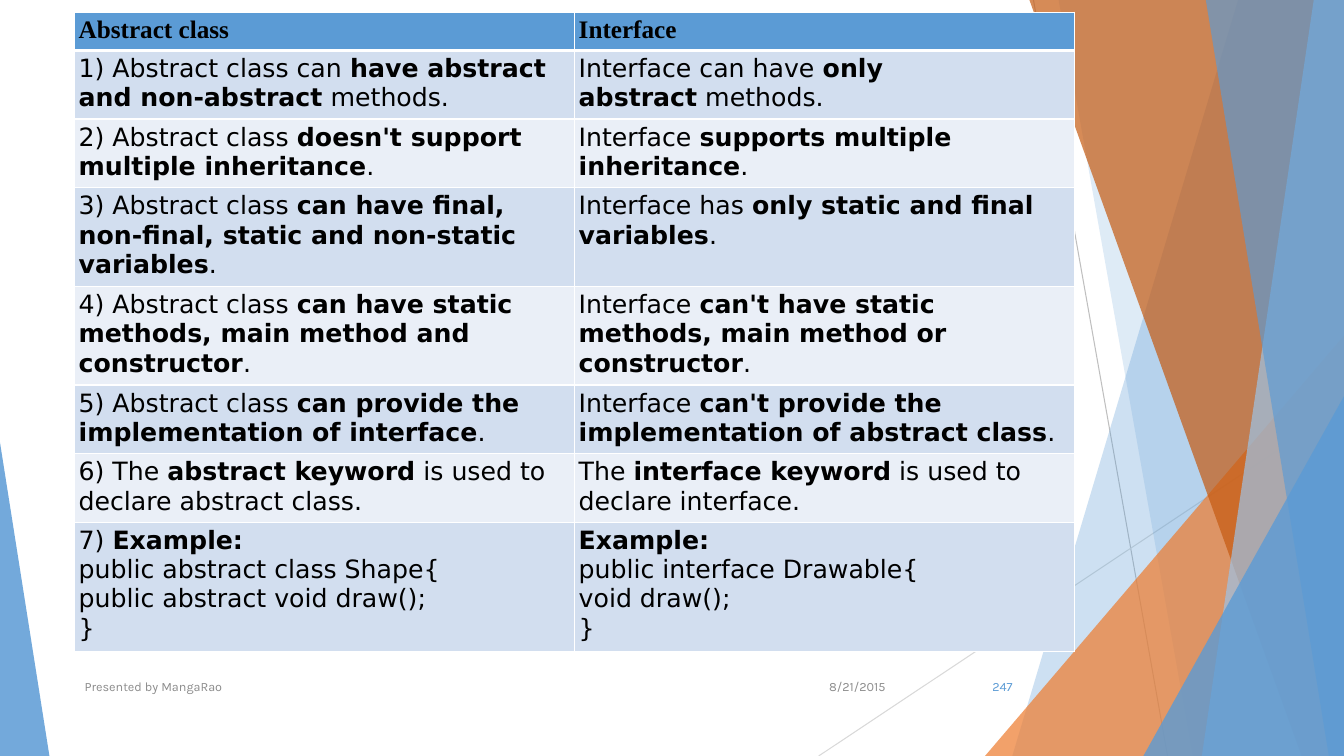
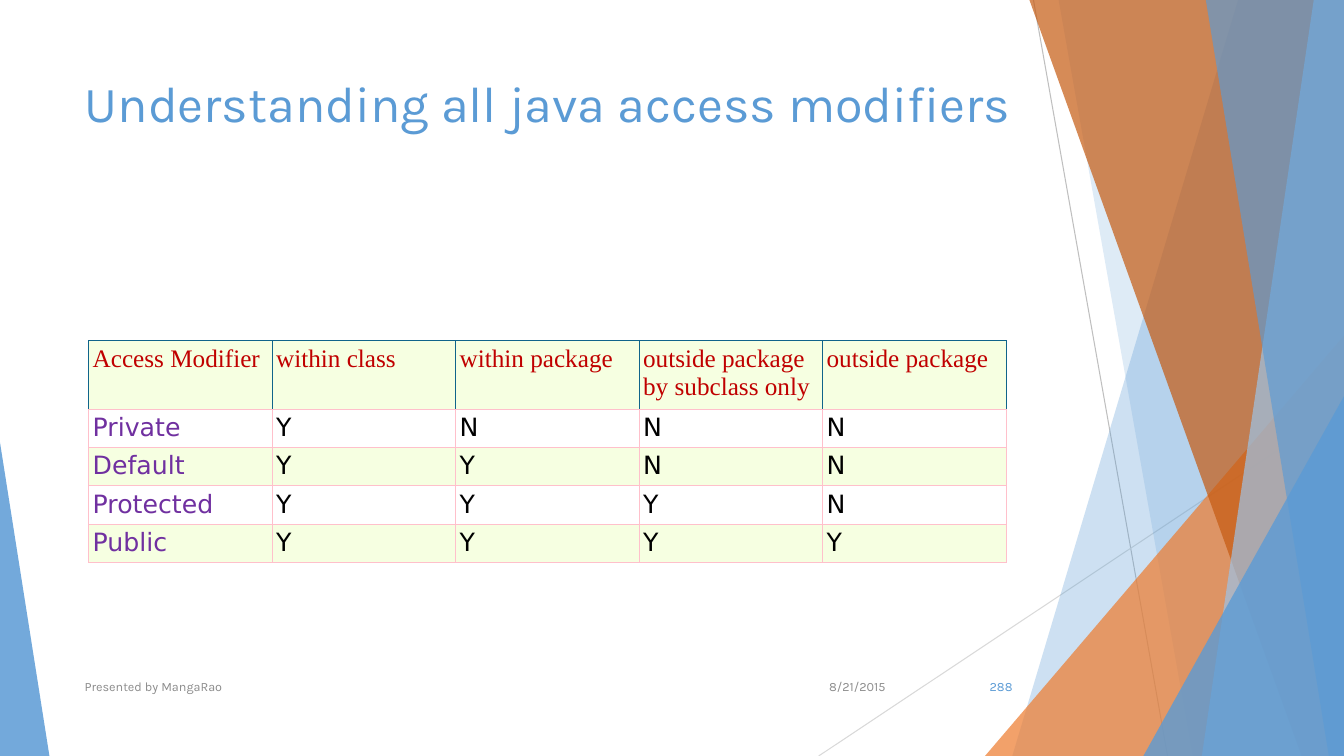
import pptx
import pptx.dml.color
import pptx.enum.shapes
import pptx.enum.text
import pptx.oxml
import pptx.oxml.ns
import pptx.util

Inches, Pt = pptx.util.Inches, pptx.util.Pt
SHAPE = pptx.enum.shapes.MSO_SHAPE
ALIGN = pptx.enum.text.PP_ALIGN
ANCHOR = pptx.enum.text.MSO_ANCHOR
W, H = 13.33, 7.5
NBSP = chr(160)

BLUE, ORANGE, RUST, SKY = "5B9BD5", "ED7D31", "C55A11", "9DC3E6"
WHITE, BLACK, GRAY = "FFFFFF", "000000", "8C8C8C"
PINK, TEAL, LIME = "FFC0CB", "10648A", "F6FFE1"
RED, PURPLE = "C00000", "7030A0"
SANS, SERIF, THEME = "DejaVu Sans", "Times New Roman", "Karla"


def rgb(color):
    return pptx.dml.color.RGBColor.from_string(color)


def element(xml):
    return pptx.oxml.parse_xml(xml.replace(">", " " + pptx.oxml.ns.nsdecls("a") + ">", 1))


class Deck:
    """Holds the shared style and the current slide."""

    def __init__(self):
        self.prs = pptx.Presentation()
        self.prs.slide_width, self.prs.slide_height = Inches(W), Inches(H)

    def new_slide(self, number, title=None):
        layout = self.prs.slide_layouts[5 if title else 6]
        self.slide = self.prs.slides.add_slide(layout)
        self.backdrop()
        if title:
            self.title(title)
        self.footer(number)

    def format(self, font, **values):
        font.color.rgb = rgb(values.pop("color"))
        for name, value in values.items():
            setattr(font, name, value)

    def fill(self, sp, color, alpha):
        sp.shadow.inherit = False
        sp.fill.solid()
        sp.fill.fore_color.rgb = rgb(color)
        sp.line.fill.background()
        clr = sp.fill._xPr.find(".//" + pptx.oxml.ns.qn("a:srgbClr"))
        clr.append(element(f'<a:alpha val="{alpha * 1000}"></a:alpha>'))

    def line(self, x1, y1, x2, y2, color):
        cx = self.slide.shapes.add_connector(
            pptx.enum.shapes.MSO_CONNECTOR.STRAIGHT,
            Inches(x1), Inches(y1), Inches(x2), Inches(y2))
        cx.line.color.rgb = rgb(color)
        cx.line.width = Pt(0.75)
        cx._element.spPr.append(element("<a:effectLst></a:effectLst>"))

    def band(self, top_x, bottom_x, color, alpha):
        """Full-height band from a slanted left edge to the right of the slide."""
        fb = self.slide.shapes.build_freeform(Inches(top_x), 0)
        fb.add_line_segments([(Inches(W), 0), (Inches(W), Inches(H)),
                              (Inches(bottom_x), Inches(H))])
        self.fill(fb.convert_to_shape(), color, alpha)

    def triangle(self, x, y, width, apex, color, alpha):
        """Triangle standing on the bottom of the slide."""
        sp = self.slide.shapes.add_shape(SHAPE.ISOSCELES_TRIANGLE, Inches(x), Inches(y),
                                         Inches(width), Inches(H - y))
        sp.adjustments[0] = apex
        self.fill(sp, color, alpha)

    def backdrop(self):
        self.line(10.25, 0, 11.58, H, "BFBFBF")
        self.line(W, 4.03, 8.12, H, "D9D9D9")
        self.band(12.28, 10.04, BLUE, 30)
        self.band(10.5, 11.83, BLUE, 20)
        self.triangle(9.77, 3.33, 3.56, 1, ORANGE, 72)
        self.band(10.21, 12.91, RUST, 70)
        self.band(13.03, 11.92, SKY, 70)
        self.band(11.96, 13.18, BLUE, 65)
        self.triangle(11.34, 3.93, 1.99, 1, BLUE, 80)
        self.triangle(0, 4.39, 0.49, 0, BLUE, 85)

    def title(self, text):
        sp = self.slide.shapes.title
        sp.left, sp.top, sp.width, sp.height = map(Inches, (0.74, 0.67, 9.4, 1.44))
        tf = sp.text_frame
        tf.text = text
        tf.vertical_anchor = ANCHOR.TOP
        tf.auto_size = pptx.enum.text.MSO_AUTO_SIZE.NONE
        p = tf.paragraphs[0]
        p.alignment = ALIGN.LEFT
        self.format(p.runs[0].font, size=Pt(36), name=THEME, color=BLUE)

    def label(self, x, width, text, align, color):
        sp = self.slide.shapes.add_textbox(Inches(x), Inches(6.61), Inches(width), Inches(0.4))
        tf = sp.text_frame
        tf.word_wrap = True
        tf.vertical_anchor = ANCHOR.MIDDLE
        p = tf.paragraphs[0]
        p.alignment = align
        r = p.add_run()
        r.text = text
        self.format(r.font, size=Pt(9), name=THEME, color=color)

    def footer(self, number):
        self.label(7.88, 1, "8/21/2015", ALIGN.RIGHT, GRAY)
        self.label(0.74, 6.89, "Presented by MangaRao", ALIGN.LEFT, GRAY)
        self.label(9.39, 0.75, str(number), ALIGN.RIGHT, BLUE)

    def cell(self, cell, text, fill, borders, **font):
        """Fill one cell; *stars* mark bold text, joined to its neighbours by NBSP."""
        for side in ("left", "right", "top", "bottom"):
            setattr(cell, "margin_" + side, Inches(0.04))
        tcPr = cell._tc.get_or_add_tcPr()
        for side in "LRTB":
            color, width = borders[side]
            tcPr.append(element(
                f'<a:ln{side} w="{Pt(width)}"><a:solidFill><a:srgbClr val="{color}"/>'
                f"</a:solidFill></a:ln{side}>"))
        cell.fill.solid()
        cell.fill.fore_color.rgb = rgb(fill)
        tf = cell.text_frame
        text = text.replace(" *", NBSP + "*").replace("* ", "*" + NBSP)
        for i, row in enumerate(text.split("\n")):
            p = tf.add_paragraph() if i else tf.paragraphs[0]
            for j, part in enumerate(row.split("*")):
                if part:
                    r = p.add_run()
                    r.text = part
                    self.format(r.font, **{"size": Pt(18), "bold": j % 2 == 1, **font})

    def table(self, x, y, col_width, heights, rows, header, bands, grid, edge, rule,
              first_color=BLACK):
        """Header row, then rows in two alternating fills; rule lies under the header."""
        cols = len(rows[0])
        tbl = self.slide.shapes.add_table(
            len(rows), cols, Inches(x), Inches(y),
            Inches(col_width * cols), Inches(sum(heights))).table
        tbl.first_row = tbl.horz_banding = False
        for col in tbl.columns:
            col.width = Inches(col_width)
        for i, row in enumerate(rows):
            tbl.rows[i].height = Inches(heights[i])
            borders = dict.fromkeys("LRTB", grid if i else edge)
            if i < 2:
                borders["T" if i else "B"] = rule
            for j, text in enumerate(row):
                font = {"name": SANS, "color": BLACK if j else first_color} if i else header
                fill = bands[(i - 1) % 2 + 1] if i else bands[0]
                self.cell(tbl.cell(i, j), text, fill, borders, **font)


COMPARISON = [
    ("Abstract class", "Interface"),
    ("1) Abstract class can *have abstract and non-abstract* methods.",
     "Interface can have *only abstract* methods."),
    ("2) Abstract class *doesn't support multiple inheritance*.",
     "Interface *supports multiple inheritance*."),
    ("3) Abstract class *can have final, non-final, static and non-static variables*.",
     "Interface has *only static and final variables*."),
    ("4) Abstract class *can have static methods, main method and constructor*.",
     "Interface *can't have static methods, main method or constructor*."),
    ("5) Abstract class *can provide the implementation of interface*.",
     "Interface *can't provide the implementation of abstract class*."),
    ("6) The *abstract keyword* is used to declare abstract class.",
     "The *interface keyword* is used to declare interface."),
    ("7) *Example:*\npublic abstract class Shape{\npublic abstract void draw();\n}",
     "*Example:*\npublic interface Drawable{\nvoid draw();\n}"),
]
MODIFIERS = [
    ("Access Modifier", "within class", "within package",
     "outside package by subclass only", "outside package"),
    ("Private", *"YNNN"),
    ("Default", *"YYNN"),
    ("Protected", *"YYYN"),
    ("Public", *"YYYY"),
]


def main():
    deck = Deck()

    # Abstract class and interface side by side
    deck.new_slide(247)
    deck.table(0.74, 0.12, 4.96, [0.36, 0.66, 0.66, 0.95, 0.95, 0.66, 0.66, 1.24], COMPARISON,
               header={"name": SERIF, "color": BLACK, "bold": True},
               bands=(BLUE, "D2DEEF", "EAEFF7"),
               grid=(WHITE, 1), edge=(WHITE, 1), rule=(WHITE, 3))

    # Access modifiers
    deck.new_slide(288, "Understanding all java access modifiers")
    deck.table(0.88, 3.38, 1.82, [0.64] + [0.37] * 4, MODIFIERS,
               header={"name": SERIF, "color": RED},
               bands=(LIME, WHITE, LIME),
               grid=(PINK, 0.6), edge=(TEAL, 0.6), rule=(PINK, 0.6), first_color=PURPLE)

    deck.prs.save("out.pptx")


if __name__ == "__main__":
    main()
